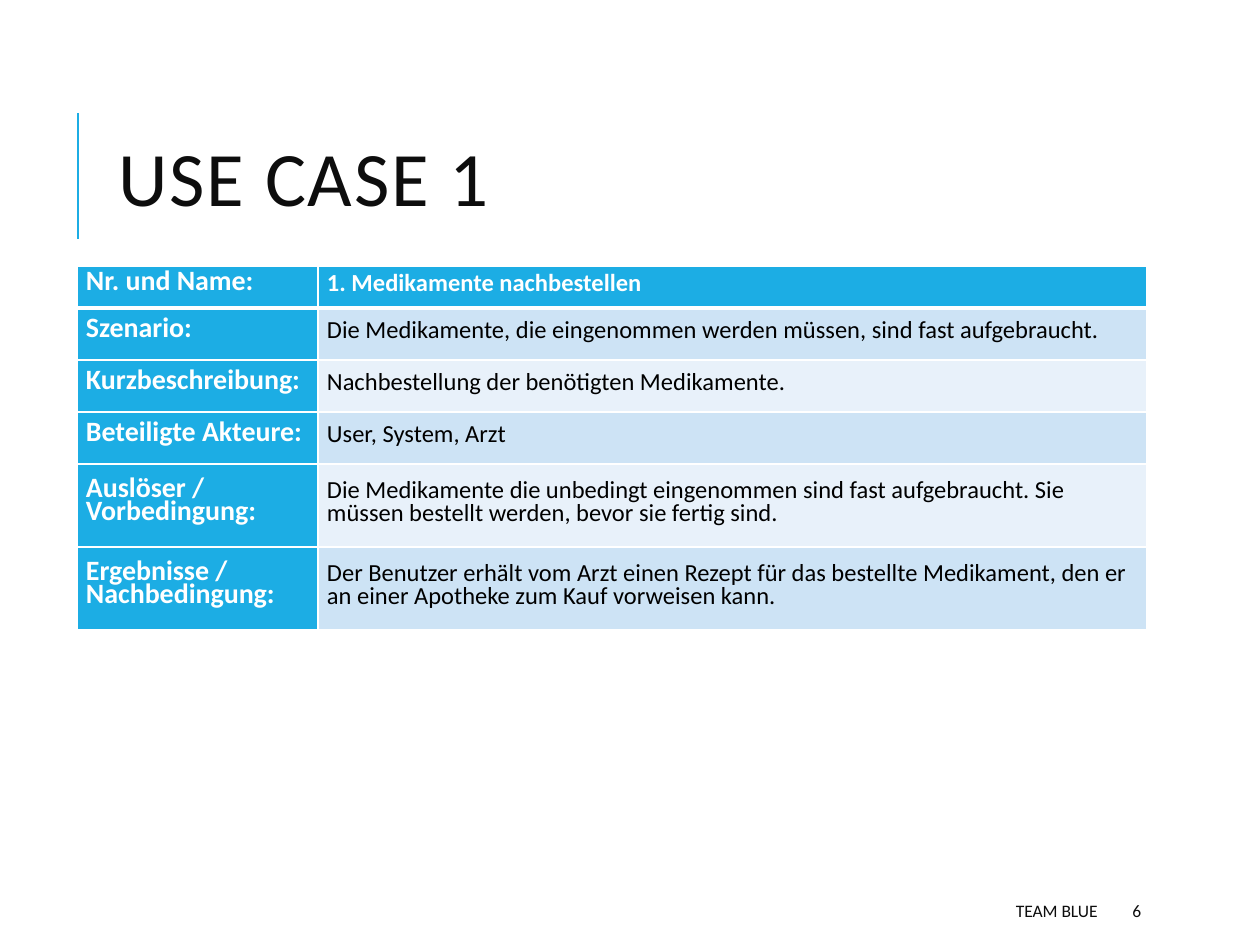
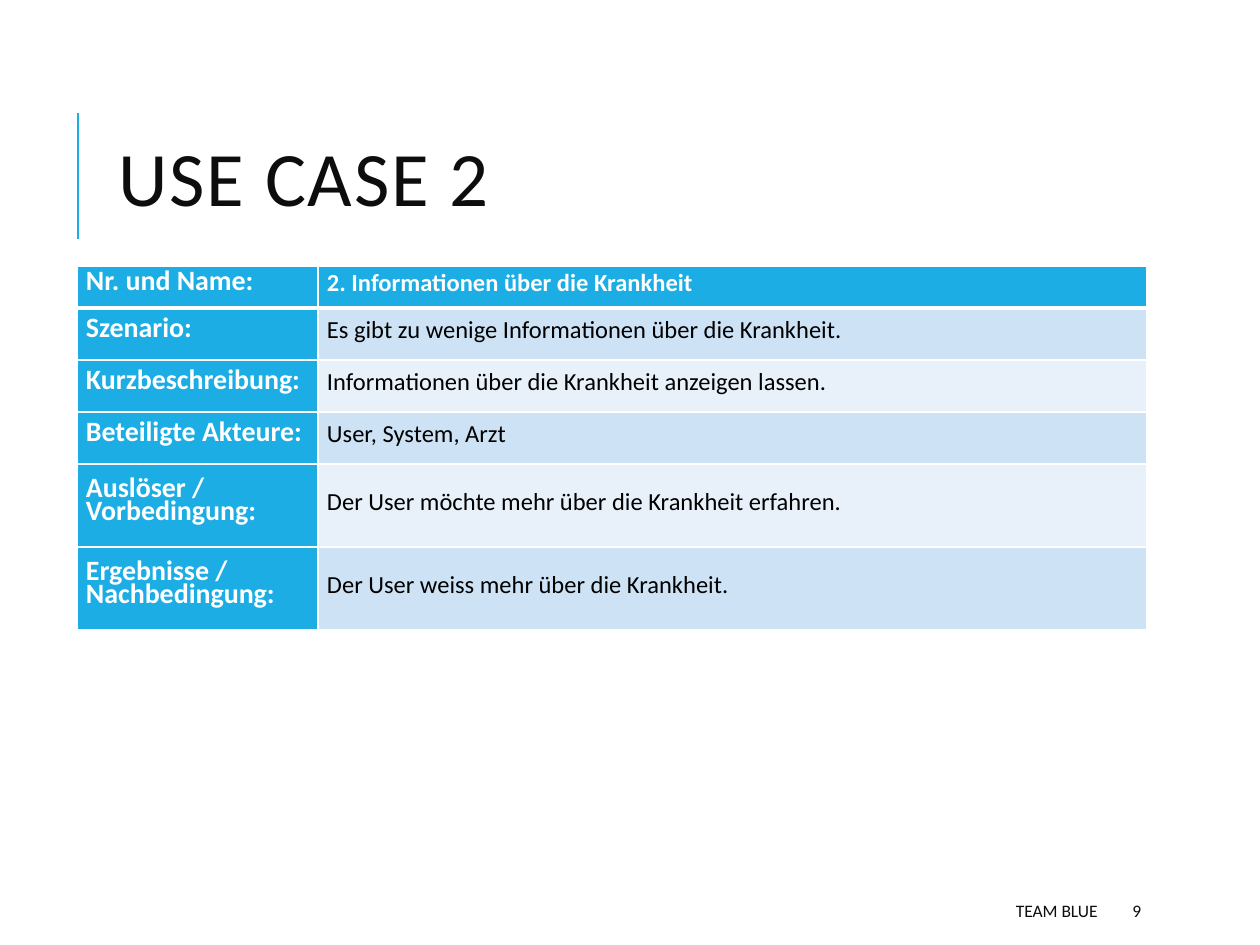
"""Build two use case slides, each with a title, a description table and a footer."""
import dataclasses

import lxml.etree
import pptx
import pptx.dml.color
import pptx.enum.shapes
import pptx.enum.text
import pptx.oxml.ns
import pptx.util

EMU_PER_PIXEL = 914400 / 126
ALIGN = pptx.enum.text.PP_ALIGN
MIDDLE = pptx.enum.text.MSO_ANCHOR.MIDDLE


@dataclasses.dataclass(frozen=True)
class Theme:
    font: str = "Calibri"
    accent: str = "1CADE4"
    bands: tuple = ("E8F1FA", "CDE3F5")
    ink: str = "0D0D0D"
    black: str = "000000"
    white: str = "FFFFFF"
    title_size: int = 44
    label_size: int = 16
    body_size: int = 14
    footer_size: int = 10
    table_leading: int = 13


def pixels(count):
    return pptx.util.Emu(round(count * EMU_PER_PIXEL))


def rgb(color):
    return pptx.dml.color.RGBColor.from_string(color)


class UseCaseDeck:
    def __init__(self, theme):
        self.theme = theme
        self.deck = pptx.Presentation()
        self.deck.slide_width = pixels(1260)
        self.deck.slide_height = pixels(945)
        self.page = None

    def new_page(self):
        self.page = self.deck.slides.add_slide(self.deck.slide_layouts[5])

    def set_text(self, frame, text, size, color, bold=False, align=ALIGN.LEFT):
        frame.text = text
        frame.word_wrap = True
        para = frame.paragraphs[0]
        para.alignment = align
        font = para.runs[0].font
        font.name = self.theme.font
        font.size = pptx.util.Pt(size)
        font.bold = bold
        font.color.rgb = rgb(color)
        return para

    def title(self, text):
        box = self.page.shapes.title
        box.left, box.top, box.width, box.height = map(pixels, (106, 81, 1004, 207))
        frame = box.text_frame
        frame.vertical_anchor = MIDDLE
        frame.auto_size = pptx.enum.text.MSO_AUTO_SIZE.NONE
        para = self.set_text(frame, text, self.theme.title_size, self.theme.ink)
        para.line_spacing = 0.8
        para.runs[0]._r.get_or_add_rPr().set("spc", "100")

    def title_rule(self):
        straight = pptx.enum.shapes.MSO_CONNECTOR.STRAIGHT
        rule = self.page.shapes.add_connector(straight, *map(pixels, (78, 239, 78, 113)))
        rule.line.color.rgb = rgb(self.theme.accent)
        rule.line.width = pptx.util.Pt(1.5)
        lxml.etree.SubElement(rule._element.spPr, pptx.oxml.ns.qn("a:effectLst"))

    def footer_text(self, text, left, width, align):
        box = self.page.shapes.add_textbox(*map(pixels, (left, 892, width, 38)))
        box.text_frame.vertical_anchor = MIDDLE
        self.set_text(box.text_frame, text, self.theme.footer_size, self.theme.ink, align=align)

    def footer(self, team, number):
        self.footer_text(team, 500, 610, ALIGN.RIGHT)
        self.footer_text(str(number), 1120, 101, ALIGN.LEFT)

    def borders(self, cell, row):
        qualify = pptx.oxml.ns.qn
        properties = cell._tc.get_or_add_tcPr()
        widths = {"L": 1, "R": 1, "T": 3 if row == 1 else 1, "B": 3 if row == 0 else 1}
        for side, width in widths.items():
            line = lxml.etree.SubElement(properties, qualify(f"a:ln{side}"), w=str(int(pptx.util.Pt(width))))
            fill = lxml.etree.SubElement(line, qualify("a:solidFill"))
            lxml.etree.SubElement(fill, qualify("a:srgbClr"), val=self.theme.white)

    def cell(self, cell, text, row, column):
        theme = self.theme
        strong = row == 0 or column == 0
        self.borders(cell, row)
        cell.fill.solid()
        cell.fill.fore_color.rgb = rgb(theme.accent if strong else theme.bands[row % 2])
        cell.vertical_anchor = MIDDLE
        cell.margin_left = cell.margin_right = pixels(9)
        cell.margin_top = cell.margin_bottom = 0
        size = theme.label_size if column == 0 else theme.body_size
        color = theme.white if strong else theme.black
        para = self.set_text(cell.text_frame, text, size, color, bold=strong)
        para.line_spacing = pptx.util.Pt(theme.table_leading)

    def table(self, rows):
        widths, heights = (241, 829), (42, 52, 52, 52, 83, 83)
        place = map(pixels, (77, 266, sum(widths), sum(heights)))
        table = self.page.shapes.add_table(len(rows), len(widths), *place).table
        table.horz_banding = False
        for column, width in zip(table.columns, widths):
            column.width = pixels(width)
        for row, height in zip(table.rows, heights):
            row.height = pixels(height)
        for row, texts in enumerate(rows):
            for column, text in enumerate(texts):
                self.cell(table.cell(row, column), text, row, column)


LABELS = (
    "Nr. und Name:",
    "Szenario:",
    "Kurzbeschreibung:",
    "Beteiligte Akteure:",
    "Auslöser / Vorbedingung:",
    "Ergebnisse / Nachbedingung:",
)

USE_CASES = (
    ("USE CASE 1", 6, (
        "1. Medikamente nachbestellen",
        "Die Medikamente, die eingenommen werden müssen, sind fast aufgebraucht.",
        "Nachbestellung der benötigten Medikamente.",
        "User, System, Arzt",
        "Die Medikamente die unbedingt eingenommen sind fast aufgebraucht. "
        "Sie müssen bestellt werden, bevor sie fertig sind.",
        "Der Benutzer erhält vom Arzt einen Rezept für das bestellte Medikament, "
        "den er an einer Apotheke zum Kauf vorweisen kann.",
    )),
    ("USE CASE 2", 9, (
        "2. Informationen über die Krankheit",
        "Es gibt zu wenige Informationen über die Krankheit.",
        "Informationen über die Krankheit anzeigen lassen.",
        "User, System, Arzt",
        "Der User möchte mehr über die Krankheit erfahren.",
        "Der User weiss mehr über die Krankheit.",
    )),
)

builder = UseCaseDeck(Theme())
for heading, number, details in USE_CASES:
    builder.new_page()
    builder.title_rule()
    builder.title(heading)
    builder.footer("TEAM BLUE", number)
    builder.table(list(zip(LABELS, details)))
builder.deck.save("out.pptx")
